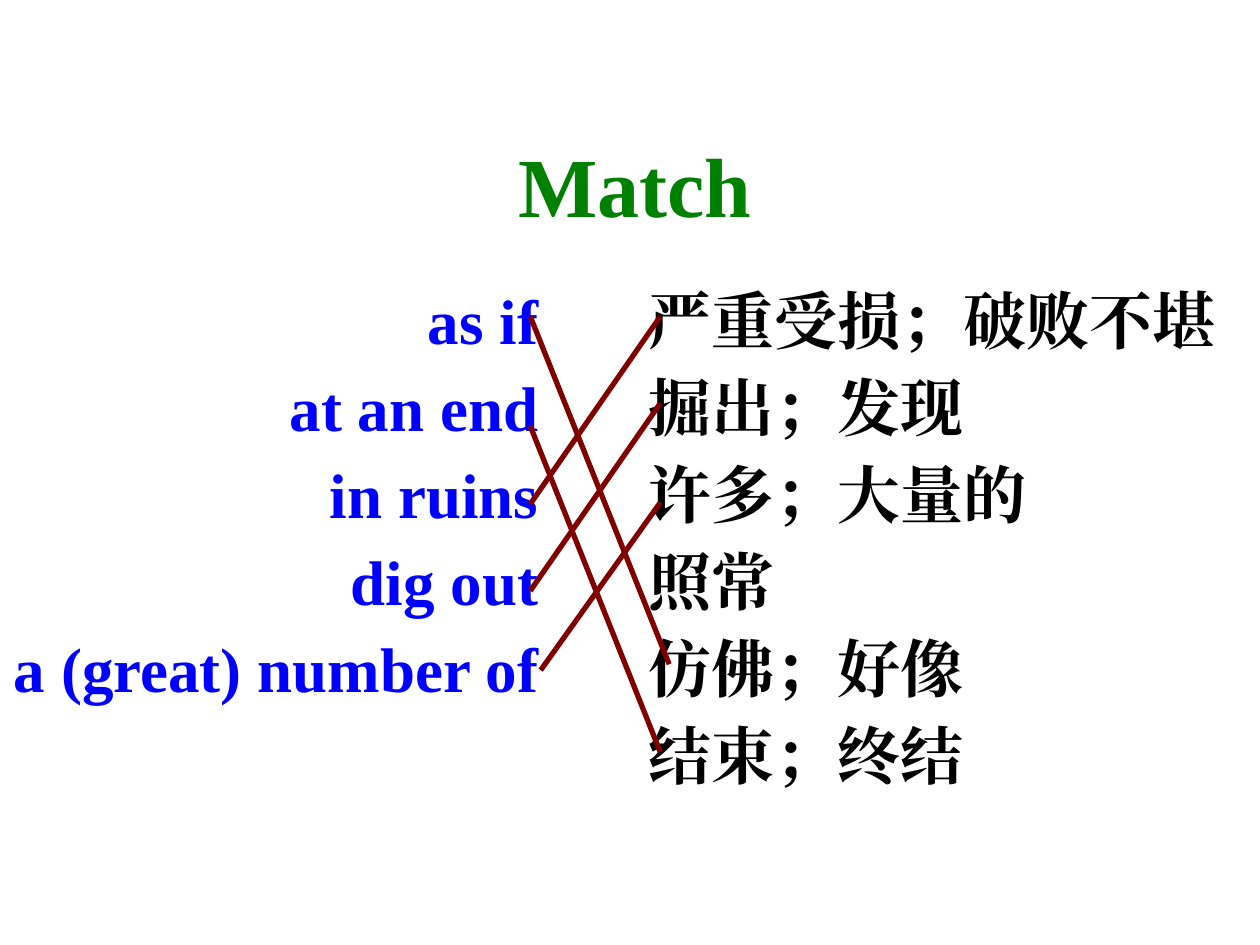
"""Build a vocabulary matching slide with phrases joined to their meanings."""
from dataclasses import dataclass

import pptx
import pptx.dml.color
import pptx.enum.shapes
import pptx.enum.text
import pptx.oxml.ns
import pptx.oxml.xmlchemy
import pptx.slide
import pptx.util
from lxml import etree

Cm = pptx.util.Cm
Align = pptx.enum.text.PP_ALIGN
qn = pptx.oxml.ns.qn

BLUE = pptx.dml.color.RGBColor(0x00, 0x00, 0xFF)
BLACK = pptx.dml.color.RGBColor(0x00, 0x00, 0x00)
GREEN = pptx.dml.color.RGBColor(0x00, 0x80, 0x00)
MAROON = pptx.dml.color.RGBColor(0x80, 0x00, 0x00)
FONT = "Times New Roman"

PHRASES = "as if\nat an end\nin ruins\ndig out\na (great) number of"
MEANINGS = "严重受损；破败不堪\n掘出；发现\n许多；大量的\n照常\n仿佛；好像\n结束；终结"


@dataclass(frozen=True)
class Box:
    left: float
    top: float
    width: float
    height: float


@dataclass(frozen=True)
class Match:
    start_x: float
    start_y: float
    end_x: float
    end_y: float


MATCHES = (
    Match(10.69, 6.38, 13.49, 13.39),
    Match(10.69, 8.59, 13.31, 15.16),
    Match(10.69, 10.16, 13.31, 6.38),
    Match(10.69, 11.91, 13.31, 8.13),
    Match(10.9, 13.51, 13.31, 10.13),
)


def add_text(
    slide: pptx.slide.Slide,
    text: str,
    box: Box,
    *,
    color: pptx.dml.color.RGBColor,
    size: int = 36,
    alignment: Align = Align.LEFT,
    line_spacing: float = 1.15,
) -> None:
    shape = slide.shapes.add_textbox(
        Cm(box.left), Cm(box.top), Cm(box.width), Cm(box.height)
    )
    frame = shape.text_frame
    frame.word_wrap = True
    frame.auto_size = pptx.enum.text.MSO_AUTO_SIZE.SHAPE_TO_FIT_TEXT
    frame.text = text
    for paragraph in frame.paragraphs:
        paragraph.alignment = alignment
        paragraph.line_spacing = line_spacing
        for run in paragraph.runs:
            run.font.name = FONT
            run.font.size = pptx.util.Pt(size)
            run.font.bold = True
            run.font.color.rgb = color
            properties = run.font._element
            etree.SubElement(properties, qn("a:ea"), typeface=FONT)


def add_match(slide: pptx.slide.Slide, match: Match) -> None:
    connector = slide.shapes.add_connector(
        pptx.enum.shapes.MSO_CONNECTOR.STRAIGHT,
        Cm(match.start_x), Cm(match.start_y), Cm(match.end_x), Cm(match.end_y),
    )
    connector.line.color.rgb = MAROON
    connector.line.width = pptx.util.Pt(3)
    etree.SubElement(connector._element.spPr, qn("a:effectLst"))


def main() -> None:
    presentation = pptx.Presentation()
    presentation.slide_width = Cm(25.4)
    presentation.slide_height = Cm(19.05)
    slide = presentation.slides.add_slide(presentation.slide_layouts[6])

    add_text(slide, PHRASES, Box(-0.1, 5.33, 11.2, 9.02),
             color=BLUE, alignment=Align.RIGHT)
    add_text(slide, MEANINGS, Box(12.83, 5.33, 12.27, 10.77), color=BLACK)
    add_text(slide, "Match", Box(9.3, 2.57, 7.01, 2.29), color=GREEN,
             size=48, alignment=Align.CENTER, line_spacing=1.0)
    for match in MATCHES:
        add_match(slide, match)

    presentation.save("out.pptx")


if __name__ == "__main__":
    main()
